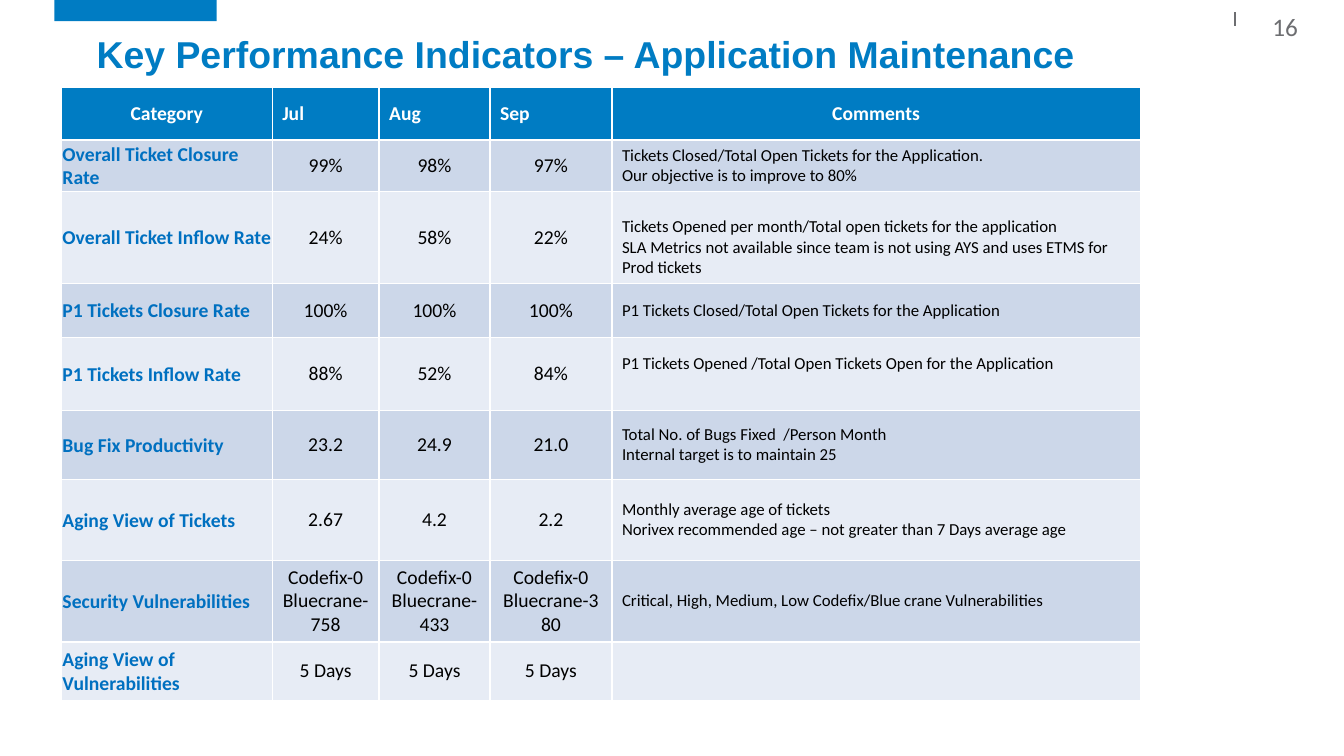
import pptx
import pptx.dml.color
import pptx.enum.shapes
import pptx.enum.text
import pptx.oxml
import pptx.util
from pptx.util import Inches

HUES = {"blue": "007CC3", "label": "0070C0", "gray": "6D6E71", "white": "FFFFFF",
        "black": "000000", "dark": "CCD7E9", "light": "E7ECF5"}
ALIGN = pptx.enum.text.PP_ALIGN
MIDDLE = pptx.enum.text.MSO_ANCHOR.MIDDLE

FONTS = {
    "title": {"name": "Arial", "size": 26.7, "bold": True, "color": "blue"},
    "page": {"name": "Calibri", "size": 18, "bold": False, "color": "gray"},
    "head": {"name": "Calibri", "size": 14, "bold": True, "color": "white"},
    "label": {"name": "Calibri", "size": 14, "bold": True, "color": "label"},
    "value": {"name": "Calibri", "size": 14, "bold": False, "color": "black"},
    "note": {"name": "Calibri", "size": 12, "bold": False, "color": "black"},
}

COLS = [2.09, 1.06, 1.1, 1.21, 5.24]
HEAD = ["Category", "Jul", "Aug", "Sep", "Comments"]
HEAD_TALL = 0.52
# Row height, then the five cells
ROWS = [
    (0.51, "Overall Ticket Closure Rate", "99%", "98%", "97%",
     "Tickets Closed/Total Open Tickets for the Application.\n"
     "Our objective is to improve to 80%"),
    (0.91, "Overall Ticket Inflow Rate", "24%", "58%", "22%",
     "Tickets Opened per month/Total open tickets for the application\n"
     "SLA Metrics not available since team is not using AYS and uses ETMS for Prod tickets"),
    (0.54, "P1 Tickets Closure Rate", "100%", "100%", "100%",
     "P1 Tickets Closed/Total Open Tickets for the Application"),
    (0.72, "P1 Tickets Inflow Rate", "88%", "52%", "84%",
     "P1 Tickets Opened /Total Open Tickets Open for the Application"),
    (0.69, "Bug Fix Productivity", "23.2", "24.9", "21.0",
     "Total No. of Bugs Fixed  /Person Month\nInternal target is to maintain 25"),
    (0.8, "Aging View of Tickets", "2.67", "4.2", "2.2",
     "Monthly average age of tickets\n"
     "Norivex recommended age – not greater than 7 Days average age"),
    (0.81, "Security Vulnerabilities", "Codefix-0\nBluecrane- 758",
     "Codefix-0\nBluecrane-433", "Codefix-0\nBluecrane-380",
     "Critical, High, Medium, Low Codefix/Blue crane Vulnerabilities"),
    (0.58, "Aging View of Vulnerabilities", "5 Days", "5 Days", "5 Days", ""),
]
# Comments that sit off the middle of their row
SHIFTS = {2: {"margin_top": 0.25}, 4: {"margin_bottom": 0.25}}
TIGHT = {"margin_left": 0.01, "margin_right": 0, "margin_top": 0.01, "margin_bottom": 0}


def rgb(hue):
    return pptx.dml.color.RGBColor.from_string(HUES[hue])


def paint(fill, hue):
    fill.solid()
    fill.fore_color.rgb = rgb(hue)


def style(font, look):
    """Apply one entry of FONTS to a font."""
    for key, value in FONTS[look].items():
        if key == "color":
            font.color.rgb = rgb(value)
        else:
            setattr(font, key, pptx.util.Pt(value) if key == "size" else value)


def write(frame, text, look, align=ALIGN.LEFT):
    """Fill a text frame, one paragraph to a line of text."""
    frame.text = text
    for para in frame.paragraphs:
        para.alignment = align
        style(para.font, look)
        for run in para.runs:
            style(run.font, look)


def add_text(slide, box, text, look, space=1.0):
    frame = slide.shapes.add_textbox(*map(Inches, box)).text_frame
    frame.word_wrap = True
    write(frame, text, look)
    frame.paragraphs[0].line_spacing = space


def add_tab(slide, box):
    """Place the blue block at the top edge."""
    tab = slide.shapes.add_shape(
        pptx.enum.shapes.MSO_SHAPE.RECTANGLE, *map(Inches, box))
    tab.shadow.inherit = False
    paint(tab.fill, "blue")
    tab.line.fill.background()


def add_page(slide, box, text):
    """Place the page number and the short rule to its left."""
    left, top, wide, tall = box
    x = left - 0.27
    rule = slide.shapes.add_connector(
        pptx.enum.shapes.MSO_CONNECTOR.STRAIGHT,
        *map(Inches, (x, top + 0.06, x, top + 0.2)))
    rule.line.color.rgb = rgb("gray")
    rule.line.width = pptx.util.Pt(1)
    pptx.oxml.ns.qn("a:effectLst")
    rule._element.spPr.append(pptx.oxml.parse_xml(
        '<a:effectLst xmlns:a="http://schemas.openxmlformats.org/drawingml/2006/main"/>'))
    add_text(slide, box, text, "page")


def set_cell(cell, text, look, align, hue, margins):
    cell.vertical_anchor = MIDDLE
    for key, value in margins.items():
        setattr(cell, key, Inches(value))
    paint(cell.fill, hue)
    write(cell.text_frame, text, look, align)


def add_grid(slide, left, top):
    """Place the table of indicators."""
    talls = [HEAD_TALL] + [row[0] for row in ROWS]
    box = (left, top, sum(COLS), sum(talls))
    grid = slide.shapes.add_table(len(talls), len(COLS), *map(Inches, box)).table
    for col, wide in zip(grid.columns, COLS):
        col.width = Inches(wide)
    for row, tall in zip(grid.rows, talls):
        row.height = Inches(tall)
    last = len(COLS) - 1
    for c, text in enumerate(HEAD):
        align = ALIGN.CENTER if c in (0, last) else ALIGN.LEFT
        set_cell(grid.cell(0, c), text, "head", align, "blue", {})
    for r, (_, *texts) in enumerate(ROWS, 1):
        hue = "dark" if r % 2 else "light"
        for c, text in enumerate(texts):
            look, align, margins = "value", ALIGN.CENTER, {}
            if c == 0:
                look, align, margins = "label", ALIGN.LEFT, TIGHT
            elif c == last:
                look, align, margins = "note", ALIGN.LEFT, SHIFTS.get(r, {})
            set_cell(grid.cell(r, c), text, look, align, hue, margins)


def main():
    deck = pptx.Presentation()
    deck.slide_width, deck.slide_height = Inches(13.33), Inches(7.5)
    slide = deck.slides.add_slide(deck.slide_layouts[6])
    add_tab(slide, (0.54, 0, 1.61, 0.21))
    add_grid(slide, 0.61, 0.87)
    add_text(slide, (0.86, 0.31, 11.93, 0.56),
             "Key Performance Indicators – Application Maintenance", "title", 0.9)
    add_page(slide, (12.52, 0.06, 0.52, 0.25), "16")
    deck.save("out.pptx")


if __name__ == "__main__":
    main()
